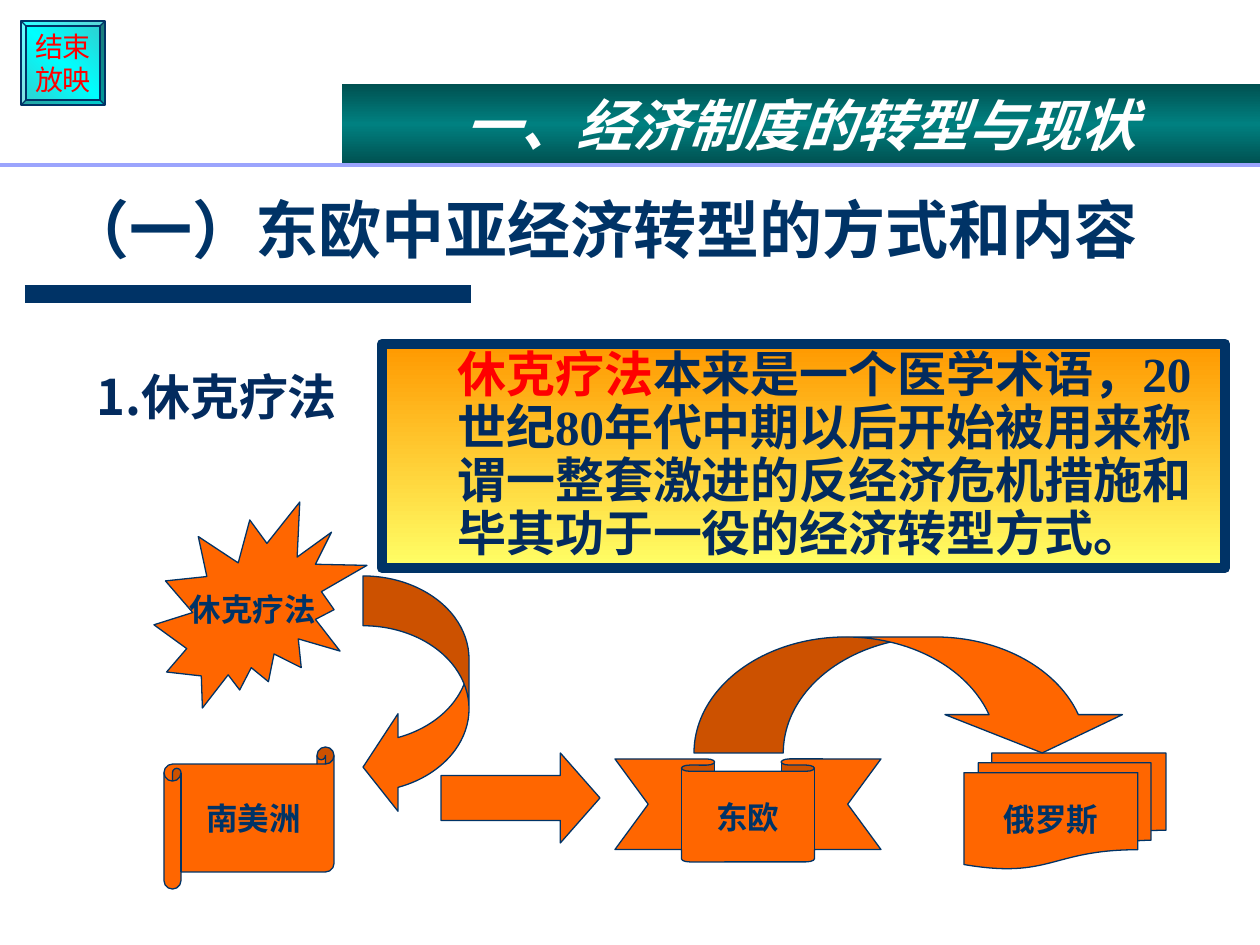
from dataclasses import dataclass, field

from lxml import etree
from pptx import Presentation
from pptx.dml.color import RGBColor
from pptx.enum import shapes, text
from pptx.oxml.ns import qn
from pptx.util import Pt

SCALE = 914400 / 126
NAVY, DARK, RED, WHITE, FLAME = "003366", "032B5E", "FF0000", "FFFFFF", "FF6600"
ARIAL, NOTO, TIMES = "Arial", "Noto Sans CJK SC", "Times New Roman"
KIND = shapes.MSO_SHAPE
MID, TOP, BASE = text.MSO_ANCHOR.MIDDLE, text.MSO_ANCHOR.TOP, text.MSO_ANCHOR.BOTTOM
LEFT, CENTER = text.PP_ALIGN.LEFT, text.PP_ALIGN.CENTER


@dataclass
class Run:
    words: str
    size: int
    color: str
    face: str = ARIAL
    bold: bool = True
    slant: bool = False


@dataclass
class Block:
    """Paragraphs of runs with their layout."""
    paras: list[list[Run]]
    anchor: text.MSO_ANCHOR = MID
    align: text.PP_ALIGN = CENTER
    lead: float = 1.0
    indent: int = 0
    wrap: bool = False


@dataclass
class Figure:
    kind: shapes.MSO_SHAPE | None
    box: tuple[int, int, int, int]
    block: Block | None = None
    fill: str | list[str] = FLAME
    angle: int = 90
    edge: float = 0.75
    tweaks: list[float] = field(default_factory=list)


@dataclass
class Rule:
    start: int
    end: int
    y: int
    color: str
    width: float


def px(n: int) -> int:
    return round(n * SCALE)


def color(code: str) -> RGBColor:
    return RGBColor.from_string(code)


def apply(target: object, values: dict) -> None:
    for name, value in values.items():
        setattr(target, name, value)


def shade(shape, stops: list[str], angle: int) -> None:
    """Fill with evenly spaced stops, angle clockwise in degrees."""
    shape.fill.gradient()
    shape.fill.gradient_angle = 360 - angle
    bands = shape._element.spPr.find(qn("a:gradFill")).find(qn("a:gsLst"))
    for stop in list(bands):
        bands.remove(stop)
    for i, code in enumerate(stops):
        place = str(100000 * i // (len(stops) - 1))
        stop = etree.SubElement(bands, qn("a:gs"), pos=place)
        etree.SubElement(stop, qn("a:srgbClr"), val=code)


def write(shape, block: Block) -> None:
    frame = shape.text_frame
    apply(frame, {"word_wrap": block.wrap, "vertical_anchor": block.anchor})
    for i, runs in enumerate(block.paras):
        para = frame.add_paragraph() if i else frame.paragraphs[0]
        apply(para, {"alignment": block.align, "line_spacing": block.lead})
        if block.indent:
            props = para._p.get_or_add_pPr()
            props.set("marL", str(px(block.indent)))
            props.set("indent", "0")
        for item in runs:
            run = para.add_run()
            run.text = item.words
            apply(run.font, {"size": Pt(item.size), "name": item.face,
                             "bold": item.bold, "italic": item.slant})
            run.font.color.rgb = color(item.color)
            etree.SubElement(run.font._element, qn("a:ea"), typeface=NOTO)


def draw(slide, fig: Figure) -> None:
    box = [px(n) for n in fig.box]
    if fig.kind is None:
        shape = slide.shapes.add_textbox(*box)
    else:
        shape = slide.shapes.add_shape(fig.kind, *box)
        shape.shadow.inherit = False
        for i, value in enumerate(fig.tweaks):
            shape.adjustments[i] = value
        if isinstance(fig.fill, list):
            shade(shape, fig.fill, fig.angle)
        else:
            shape.fill.solid()
            shape.fill.fore_color.rgb = color(fig.fill)
        if fig.edge:
            shape.line.color.rgb = color(NAVY)
            shape.line.width = Pt(fig.edge)
        else:
            shape.line.fill.background()
    if fig.block:
        write(shape, fig.block)


def stroke(slide, rule: Rule) -> None:
    line = slide.shapes.add_connector(
        shapes.MSO_CONNECTOR.STRAIGHT,
        px(rule.start), px(rule.y), px(rule.end), px(rule.y))
    line.line.color.rgb = color(rule.color)
    line.line.width = Pt(rule.width)
    etree.SubElement(line._element.spPr, qn("a:effectLst"))


def label(words: str) -> Block:
    return Block([[Run(words, 18, NAVY)]])


BUTTON = Block([[Run(w, 16, RED, bold=False)] for w in ("结束", "放映")])
TITLE = Block([[Run("（一）东欧中亚经济转型的方式和内容", 36, NAVY, NOTO)]],
              BASE, LEFT, lead=0.9, wrap=True)
TERM = Block([[
    Run("休克疗法", 28, RED),
    Run("本来是一个医学术语，", 28, DARK),
    Run("20", 28, DARK, TIMES),
    Run("世纪", 28, DARK),
    Run("80", 28, DARK, TIMES),
    Run("年代中期以后开始被用来称谓一整套激进的反经济危机措施"
        "和毕其功于一役的经济转型方式。", 28, DARK),
]], TOP, LEFT, lead=0.9, indent=63, wrap=True)
BANNER = Block([[Run("一、经济制度的转型与现状", 32, WHITE, NOTO, slant=True)]],
               TOP, wrap=True)
POINT = Block([[Run("1.休克疗法", 28, DARK, NOTO)]], TOP, LEFT, wrap=True)

RULES = [Rule(25, 471, 294, NAVY, 10), Rule(0, 1260, 165, "9BA4FD", 1.75)]
FIGURES = [
    Figure(KIND.BEVEL, (21, 21, 84, 84), BUTTON,
           ["33CCCC", "00FFFF", "33CCCC"], angle=135, tweaks=[0.06]),
    Figure(None, (54, 136, 1101, 137), TITLE),
    Figure(KIND.FLOWCHART_MULTIDOCUMENT, (964, 753, 202, 116), label("俄罗斯")),
    Figure(KIND.DOWN_RIBBON, (615, 759, 266, 103), label("东欧"),
           tweaks=[0.12, 0.5]),
    Figure(KIND.HORIZONTAL_SCROLL, (164, 747, 170, 142), label("南美洲"),
           tweaks=[0.12]),
    Figure(KIND.EXPLOSION2, (154, 502, 213, 206), label("休克疗法")),
    Figure(KIND.CURVED_LEFT_ARROW, (363, 576, 106, 240),
           tweaks=[0.47, 0.92, 0.33]),
    Figure(KIND.RIGHT_ARROW, (441, 753, 159, 90), tweaks=[0.5, 0.44]),
    Figure(KIND.CURVED_DOWN_ARROW, (694, 637, 437, 116),
           tweaks=[0.77, 1.53, 0.33]),
    Figure(KIND.RECTANGLE, (382, 344, 843, 224), TERM,
           ["FF9900", "FFFF66"], edge=6),
    Figure(KIND.RECTANGLE, (342, 84, 918, 80), BANNER,
           ["005151", "008080", "005151"], edge=0),
    Figure(None, (84, 360, 270, 72), POINT),
]


def main() -> None:
    deck = Presentation()
    apply(deck, {"slide_width": px(1260), "slide_height": px(945)})
    slide = deck.slides.add_slide(deck.slide_layouts[6])
    for fig in FIGURES:
        draw(slide, fig)
    for rule in RULES:
        stroke(slide, rule)
    deck.save("out.pptx")


if __name__ == "__main__":
    main()
